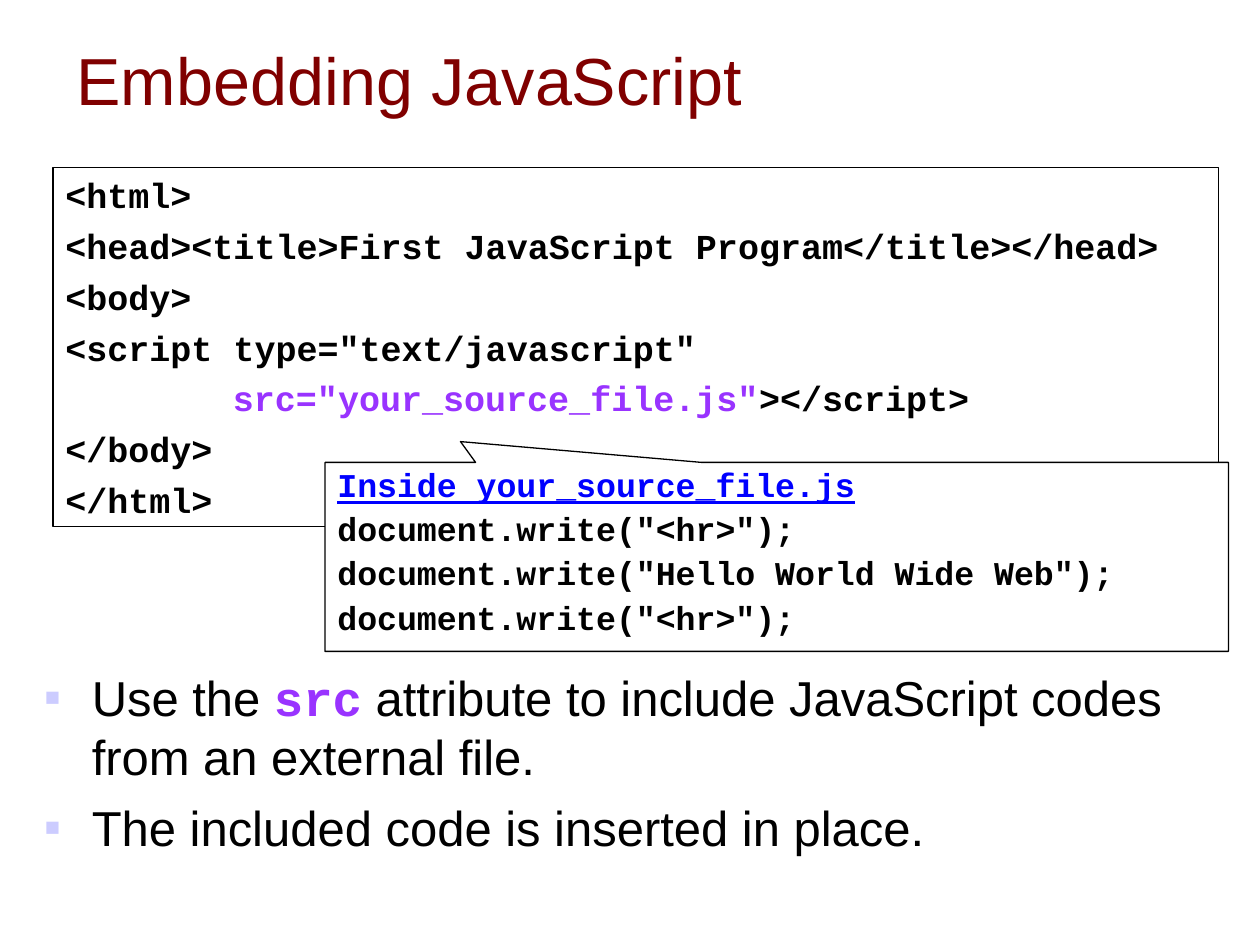
from dataclasses import dataclass

from lxml.etree import SubElement
from pptx import Presentation
from pptx.dml.color import RGBColor
from pptx.enum.shapes import MSO_SHAPE as Shape
from pptx.enum.text import MSO_ANCHOR as Anchor, PP_ALIGN as Align
from pptx.oxml.ns import qn
from pptx.util import Inches, Pt

COLORS = {
    "black": "000000",
    "white": "FFFFFF",
    "title": "800000",
    "accent": "9933FF",
    "heading": "0000FF",
    "bullet": "CCCCFF",
}
SANS, MONO = "Arial", "Courier New"


@dataclass
class Run:
    text: str
    color: str = "black"
    font: str = MONO
    bold: bool = True
    underline: bool = False


@dataclass
class Para:
    runs: list[Run]
    indent: float = 0
    bullet: str = ""


@dataclass
class Box:
    left: float
    top: float
    width: float
    height: float
    size: float
    paras: list[Para]
    before: float = 0
    spacing: float = 1.0


def rgb(name: str) -> RGBColor:
    return RGBColor.from_string(COLORS[name])


def sans(text: str, color: str = "black") -> Run:
    return Run(text, color, SANS, False)


def set_indent(p, para: Para) -> None:
    props = p._p.get_or_add_pPr()
    props.set("marL", str(Inches(para.indent)))
    props.set("indent", str(-Inches(para.indent) if para.bullet else 0))
    if para.bullet:
        color = SubElement(props, qn("a:buClr"))
        SubElement(color, qn("a:srgbClr"), val=COLORS["bullet"])
        SubElement(props, qn("a:buFont"), typeface=SANS)
        SubElement(props, qn("a:buChar"), char=para.bullet)


def add_text(s, box: Box, anchor=Anchor.TOP) -> None:
    tf = s.text_frame
    tf.word_wrap = True
    tf.vertical_anchor = anchor
    for i, para in enumerate(box.paras):
        p = tf.paragraphs[0] if i == 0 else tf.add_paragraph()
        p.alignment = Align.LEFT
        p.space_before = Pt(box.before)
        p.line_spacing = box.spacing
        set_indent(p, para)
        for run in para.runs:
            r = p.add_run()
            r.text = run.text
            r.font.name = run.font
            r.font.size = Pt(box.size)
            r.font.bold = run.bold
            r.font.underline = run.underline
            r.font.color.rgb = rgb(run.color)


def bounds(box: Box) -> list[int]:
    return [Inches(v) for v in (box.left, box.top, box.width, box.height)]


def add_label(slide, box: Box, anchor=Anchor.TOP) -> None:
    add_text(slide.shapes.add_textbox(*bounds(box)), box, anchor)


def add_panel(slide, kind: Shape, box: Box):
    s = slide.shapes.add_shape(kind, *bounds(box))
    s.shadow.inherit = False
    s.fill.solid()
    s.fill.fore_color.rgb = rgb("white")
    s.line.color.rgb = rgb("black")
    s.line.width = Pt(0.75)
    add_text(s, box)
    return s


TITLE = Box(0.51, 0.18, 9, 0.9, 38, [Para([sans("Embedding JavaScript", "title")])])

BODY = Box(0.25, 5.25, 9.25, 1.67, 28, [
    Para(runs, 0.38, "▪") for runs in (
        [sans("Use the "), Run("src", "accent"),
         sans(" attribute to include JavaScript codes from an external file.")],
        [sans("The included code is inserted in place.")],
    )
], before=7)

PAGE_CODE = Box(0.42, 1.33, 9.25, 2.85, 20, [
    Para([Run("<html>")]),
    Para([Run("<head><title>First JavaScript Program</title></head>")]),
    Para([Run("<body>")]),
    Para([Run('<script type="text/javascript"')]),
    Para([Run('src="your_source_file.js"', "accent"), Run("></script>")], 1.33),
    Para([Run("</body>")]),
    Para([Run("</html>")]),
], before=5)

SOURCE_FILE = Box(2.58, 3.67, 7.17, 1.5, 19, [
    Para([Run("Inside your_source_file.js", "heading", underline=True)]),
    Para([Run('document.write("<hr>");')]),
    Para([Run('document.write("Hello World Wide Web");')]),
    Para([Run('document.write("<hr>");')]),
], before=4.8, spacing=0.9)


def main() -> None:
    prs = Presentation()
    prs.slide_width, prs.slide_height = Inches(10), Inches(7.5)
    slide = prs.slides.add_slide(prs.slide_layouts[6])
    add_label(slide, TITLE, Anchor.MIDDLE)
    add_label(slide, BODY)
    add_panel(slide, Shape.RECTANGLE, PAGE_CODE)
    callout = add_panel(slide, Shape.RECTANGULAR_CALLOUT, SOURCE_FILE)
    callout.adjustments[0] = -0.35
    callout.adjustments[1] = -0.61
    prs.save("out.pptx")


if __name__ == "__main__":
    main()
